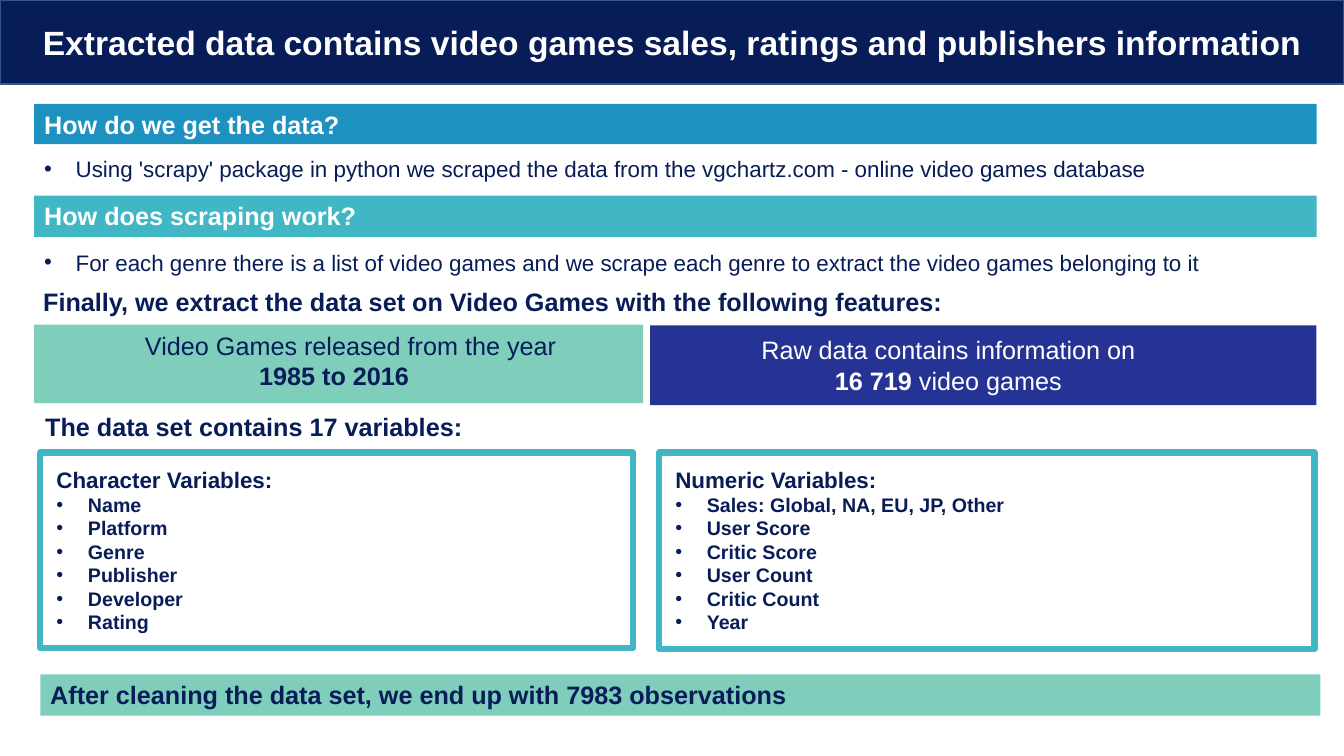
import pptx
import pptx.util
import pptx.dml.color
import pptx.enum.shapes
import pptx.enum.text
import pptx.oxml.ns
import lxml.etree

Pt = pptx.util.Pt
ALIGN = pptx.enum.text.PP_ALIGN
ANCHOR = pptx.enum.text.MSO_ANCHOR
NAVY, WHITE, TEAL, MINT = "081D58", "FFFFFF", "41B6C4", "7FCDBB"
LEFT, WIDE = 24.5, 916


def color(code):
    return pptx.dml.color.RGBColor.from_string(code)


def rect(slide, box, fill=None, line=None, width=1):
    shape = slide.shapes.add_shape(
        pptx.enum.shapes.MSO_SHAPE.RECTANGLE, *map(Pt, box))
    shape.shadow.inherit = False
    if fill:
        shape.fill.solid()
        shape.fill.fore_color.rgb = color(fill)
    else:
        shape.fill.background()
    if line:
        shape.line.color.rgb = color(line)
        shape.line.width = Pt(width)
    else:
        shape.line.fill.background()
    return shape


def inset(shape, left=7.2, top=3.6, right=7.2, anchor=ANCHOR.TOP):
    frame = shape.text_frame
    frame.word_wrap = True
    frame.vertical_anchor = anchor
    frame.margin_left, frame.margin_right = Pt(left), Pt(right)
    frame.margin_top, frame.margin_bottom = Pt(top), Pt(3.6)
    return frame


def style(para, size, tint, bold=False, align=ALIGN.LEFT):
    para.alignment = align
    for run in para.runs:
        run.font.name = "Arial"
        run.font.size = Pt(size)
        run.font.bold = bold
        run.font.color.rgb = color(tint)


def bullet(para):
    props = para._p.get_or_add_pPr()
    props.set("marL", str(Pt(22.5)))
    props.set("indent", str(-Pt(22.5)))
    tag = pptx.oxml.ns.qn
    lxml.etree.SubElement(props, tag("a:buFont")).set("typeface", "Arial")
    lxml.etree.SubElement(props, tag("a:buChar")).set("char", "•")


def title(slide, box, text):
    frame = inset(rect(slide, box, NAVY, "325491"), anchor=ANCHOR.MIDDLE)
    frame.text = text
    style(frame.paragraphs[0], 24, WHITE, True, ALIGN.CENTER)


def band(slide, box, text, fill, tint):
    frame = inset(rect(slide, box, fill))
    frame.text = text
    style(frame.paragraphs[0], 18, tint, True)


def label(slide, box, text, size, bold=False, dot=False):
    frame = inset(slide.shapes.add_textbox(*map(Pt, box)))
    frame.text = text
    if dot:
        bullet(frame.paragraphs[0])
    style(frame.paragraphs[0], size, NAVY, bold)


def tile(slide, box, fill, tint, lead, strong, rest, top, right):
    frame = inset(rect(slide, box, fill), top=top, right=right)
    frame.text = lead
    para = frame.add_paragraph()
    for text in filter(None, (strong, rest)):
        para.add_run().text = text
    for item in frame.paragraphs:
        style(item, 18, tint, align=ALIGN.CENTER)
    para.runs[0].font.bold = True
    return frame


def panel(slide, box, head, items):
    frame = inset(rect(slide, box, line=TEAL, width=4.5), left=11.5, top=9.4)
    frame.text = head
    style(frame.paragraphs[0], 16, NAVY, True)
    for item in items:
        para = frame.add_paragraph()
        para.text = item
        bullet(para)
        style(para, 14, NAVY, True)


def main():
    deck = pptx.Presentation()
    deck.slide_width, deck.slide_height = Pt(960), Pt(540)
    slide = deck.slides.add_slide(deck.slide_layouts[6])

    title(slide, (0, 0, 960, 60),
          "Extracted data contains video games sales, ratings and publishers information")
    band(slide, (LEFT, 74.2, WIDE, 28.8), "How do we get the data?", "1D91C0", WHITE)
    label(slide, (LEFT, 107.3, 906, 26.6),
          "Using 'scrapy' package in python we scraped the data from the "
          "vgchartz.com - online video games database", 16, dot=True)
    band(slide, (LEFT, 139.7, WIDE, 29.5), "How does scraping work?", TEAL, WHITE)
    label(slide, (LEFT, 174.2, 906, 26.6),
          "For each genre there is a list of video games and we scrape each "
          "genre to extract the video games belonging to it", 16, dot=True)
    label(slide, (23.8, 200.9, 906, 28.8),
          "Finally, we extract the data set on Video Games with the following features:",
          18, True)

    years = tile(slide, (LEFT, 231.8, 435, 56.2), MINT, NAVY,
                 "Video Games released from the year", "1985 to 2016", "", 4.3, 13.7)
    first = years.paragraphs[0]
    first.alignment = ALIGN.LEFT
    first._p.get_or_add_pPr().set("marL", str(Pt(72)))
    tile(slide, (464.4, 232.5, 476, 56.9), "253494", WHITE,
         "Raw data contains information on", "16 719", " video games", 6.5, 57)

    label(slide, (25.2, 290.2, 914, 29.5), "The data set contains 17 variables:", 18, True)
    panel(slide, (28.8, 323.3, 423.4, 139.7), "Character Variables:",
          ("Name", "Platform", "Genre", "Publisher", "Developer", "Rating"))
    panel(slide, (470.9, 323.3, 468, 140.4), "Numeric Variables:",
          ("Sales: Global, NA, EU, JP, Other", "User Score", "Critic Score",
           "User Count", "Critic Count", "Year"))
    band(slide, (28.8, 481.7, 914.4, 29.5),
         "After cleaning the data set, we end up with 7983 observations", MINT, NAVY)
    deck.save("out.pptx")


if __name__ == "__main__":
    main()
